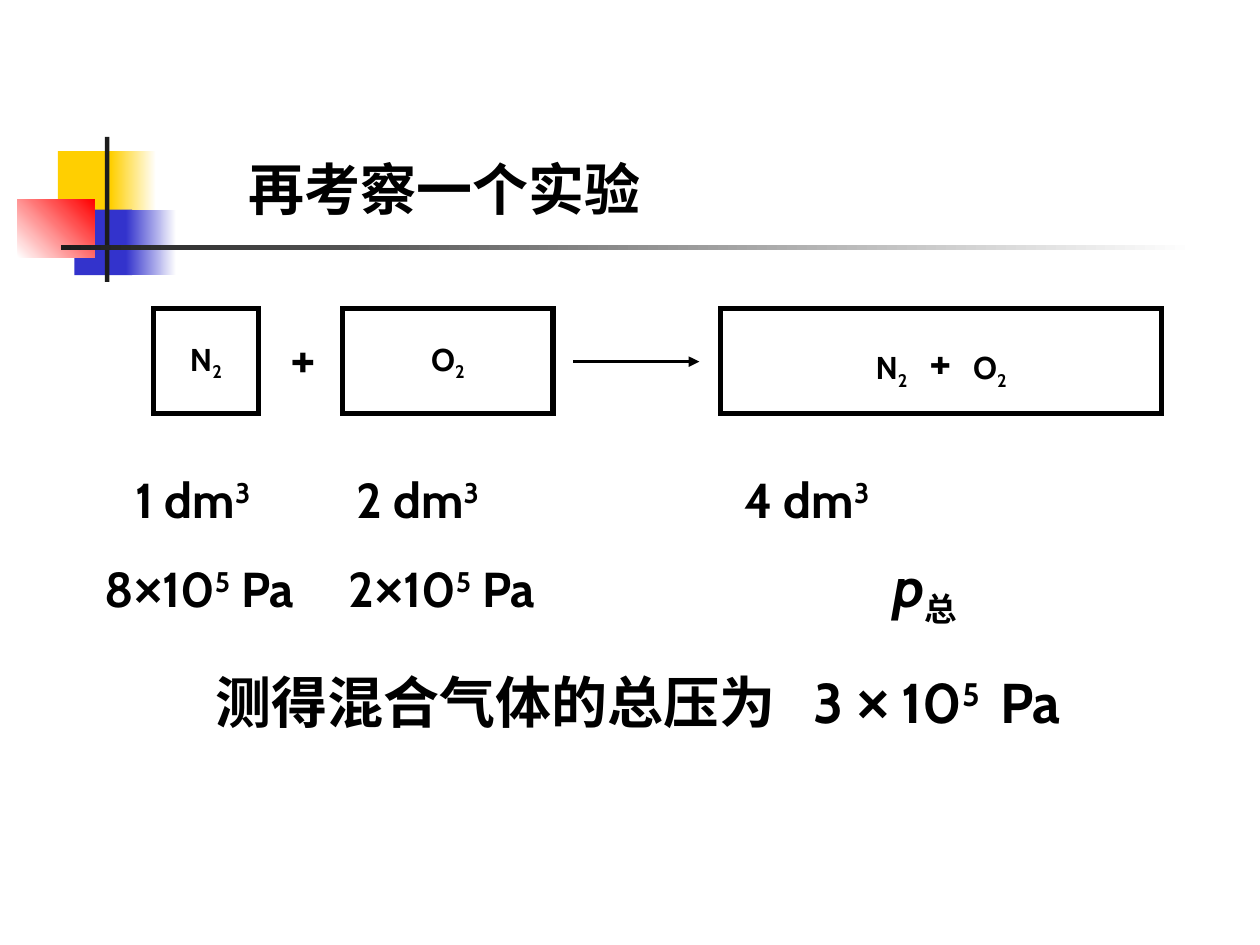
from dataclasses import dataclass
from typing import NamedTuple

from lxml import etree
from pptx import Presentation
from pptx.dml.color import RGBColor
from pptx.enum import shapes, text
from pptx.oxml.ns import qn
from pptx.util import Inches, Pt

WIDE, HIGH = Inches(10), Inches(7.5)
INK, WHITE = "000000", "FFFFFF"
SUP, SUB = 30, -25


class Area(NamedTuple):
    """Left, top, width and height as percent of the slide."""
    left: float
    top: float
    wide: float
    high: float

    def emu(self) -> list[int]:
        return [round(v * s / 100) for v, s in zip(self, (WIDE, HIGH) * 2)]


@dataclass
class Run:
    words: str
    size: float
    base: int = 0
    face: str = "Cabin"
    slant: bool = False
    track: int = 0


@dataclass
class Patch:
    area: Area
    start: str
    end: str = ""
    angle: float = 0


def color(code: str) -> RGBColor:
    return RGBColor.from_string(code)


def outline(shape, code: str, width: float) -> None:
    shape.line.color.rgb = color(code)
    shape.line.width = Pt(width)
    etree.SubElement(shape.line._get_or_add_ln(), qn("a:miter"), lim="800000")


def write(para, runs: list[Run], tabs: tuple = (), **form) -> None:
    """Fill a paragraph; tabs are inches from the text edge."""
    if tabs:
        stops = etree.SubElement(para._p.get_or_add_pPr(), qn("a:tabLst"))
        for tab in tabs:
            etree.SubElement(stops, qn("a:tab"), pos=str(Inches(tab)), algn="l")
    for key, value in form.items():
        setattr(para, key, value)
    for item in runs:
        run = para.add_run()
        run.text = item.words
        look = {"size": Pt(item.size), "name": item.face,
                "bold": True, "italic": item.slant}
        for key, value in look.items():
            setattr(run.font, key, value)
        run.font.color.rgb = color(INK)
        marks = run._r.get_or_add_rPr()
        if item.base:
            marks.set("baseline", str(item.base * 1000))
        if item.track:
            marks.set("spc", str(item.track))


def frame(shape, **form):
    look = {"word_wrap": True, "auto_size": text.MSO_AUTO_SIZE.NONE,
            "vertical_anchor": text.MSO_ANCHOR.TOP}
    for key, value in {**look, **form}.items():
        setattr(shape.text_frame, key, value)
    return shape.text_frame


def note(slide, area: Area):
    return frame(slide.shapes.add_textbox(*area.emu()))


def rect(slide, area: Area):
    shape = slide.shapes.add_shape(shapes.MSO_SHAPE.RECTANGLE, *area.emu())
    shape.shadow.inherit = False
    return shape


def paint(slide, patch: Patch) -> None:
    shape = rect(slide, patch.area)
    shape.line.fill.background()
    if not patch.end:
        shape.fill.solid()
        shape.fill.fore_color.rgb = color(patch.start)
        return
    shape.fill.gradient()
    shape.fill.gradient_angle = patch.angle
    for stop, code in zip(shape.fill.gradient_stops, (patch.start, patch.end)):
        stop.color.rgb = color(code)


def label(slide, area: Area, runs: list[Run], line: str, width: float,
          align, anchor) -> None:
    shape = rect(slide, area)
    shape.fill.background()
    outline(shape, line, width)
    body = frame(shape, word_wrap=False, vertical_anchor=anchor)
    write(body.paragraphs[0], runs, alignment=align)


def gas(name: str) -> list[Run]:
    return [Run(name, 18), Run("2", 18, SUB)]


def volume(count: str) -> list[Run]:
    return [Run(f"\t{count} dm", 28), Run("3", 28, SUP)]


def power(lead: str, size: float, gap: str = "") -> list[Run]:
    return [Run(lead + gap, size), Run("×", size, face="Arial"),
            Run(gap + "10", size), Run("5", size, SUP)]


def pressure(lead: str) -> list[Run]:
    return [*power("\t" + lead, 28), Run(" Pa", 28)]


PATCHES = [
    Patch(Area(4.6, 16, 4.8, 6.93), "FFCF01"),
    Patch(Area(8.8, 16, 3.6, 6.93), "FFCF01", WHITE),
    Patch(Area(5.9, 22.2, 4.6, 6.93), "3333CC"),
    Patch(Area(10, 22.2, 4, 6.93), "3333CC", WHITE),
    Patch(Area(1.4, 21.07, 6.1, 6.2), WHITE, "FF0000", 45),
    Patch(Area(8.33, 14.5, 0.35, 15.33), "1C1C1C"),
    Patch(Area(4.85, 25.95, 90, 0.5), "1C1C1C", WHITE),
]
MIX = [*gas("N"), Run(" ", 28, track=600), Run("+ ", 28, track=300), *gas("O")]
TANKS = [(12.2, 8.3, gas("N")), (27.2, 16.7, gas("O")), (57.2, 35, MIX)]


def main() -> None:
    deck = Presentation()
    deck.slide_width, deck.slide_height = WIDE, HIGH
    slide = deck.slides.add_slide(deck.slide_layouts[5])

    # Corner ornament and rule
    for patch in PATCHES:
        paint(slide, patch)

    # Title
    title = slide.shapes.title
    spot = Area(18.75, 15.7, 41.7, 8.53).emu()
    for key, value in zip(("left", "top", "width", "height"), spot):
        setattr(title, key, value)
    outline(title, WHITE, 0.75)
    write(frame(title).paragraphs[0], [Run("再考察一个实验", 32)],
          alignment=text.PP_ALIGN.LEFT)

    # Volumes and pressures
    lines = note(slide, Area(1.2, 47.15, 96.9, 20))
    write(lines.paragraphs[0], [*volume("1"), *volume("2"), *volume("4")],
          (0.86, 2.61, 5.69), line_spacing=1.3)
    total = [Run("\t", 28), Run("p", 32, slant=True), Run("总", 32, SUB)]
    write(lines.add_paragraph(), [*pressure("8"), *pressure("2"), *total],
          (0.61, 2.55, 6.87), line_spacing=1.3)

    # Gas tanks, plus sign and arrow
    for left, wide, runs in TANKS:
        label(slide, Area(left, 32.67, wide, 11.07), runs, INK, 3,
              text.PP_ALIGN.CENTER, text.MSO_ANCHOR.MIDDLE)
    label(slide, Area(21.5, 33.47, 5.2, 8.53), [Run(" ", 18), Run("+", 32)],
          WHITE, 0.75, text.PP_ALIGN.LEFT, text.MSO_ANCHOR.TOP)
    left, top, wide, _ = Area(45.5, 38.27, 10, 0).emu()
    arrow = slide.shapes.add_connector(
        shapes.MSO_CONNECTOR.STRAIGHT, left, top, left + wide, top)
    outline(arrow, INK, 2)
    etree.SubElement(arrow.line._get_or_add_ln(), qn("a:tailEnd"),
                     type="triangle")
    etree.SubElement(arrow._element.spPr, qn("a:effectLst"))

    # Measured total pressure
    write(note(slide, Area(13.1, 67.8, 82.3, 10.67)).paragraphs[0],
          [Run("\t测得混合气体的总压为\t", 32), *power("3", 32, " "),
           Run("\tPa", 32)],
          (0.3, 5.05, 6.53), line_spacing=1.3)

    deck.save("out.pptx")


if __name__ == "__main__":
    main()
